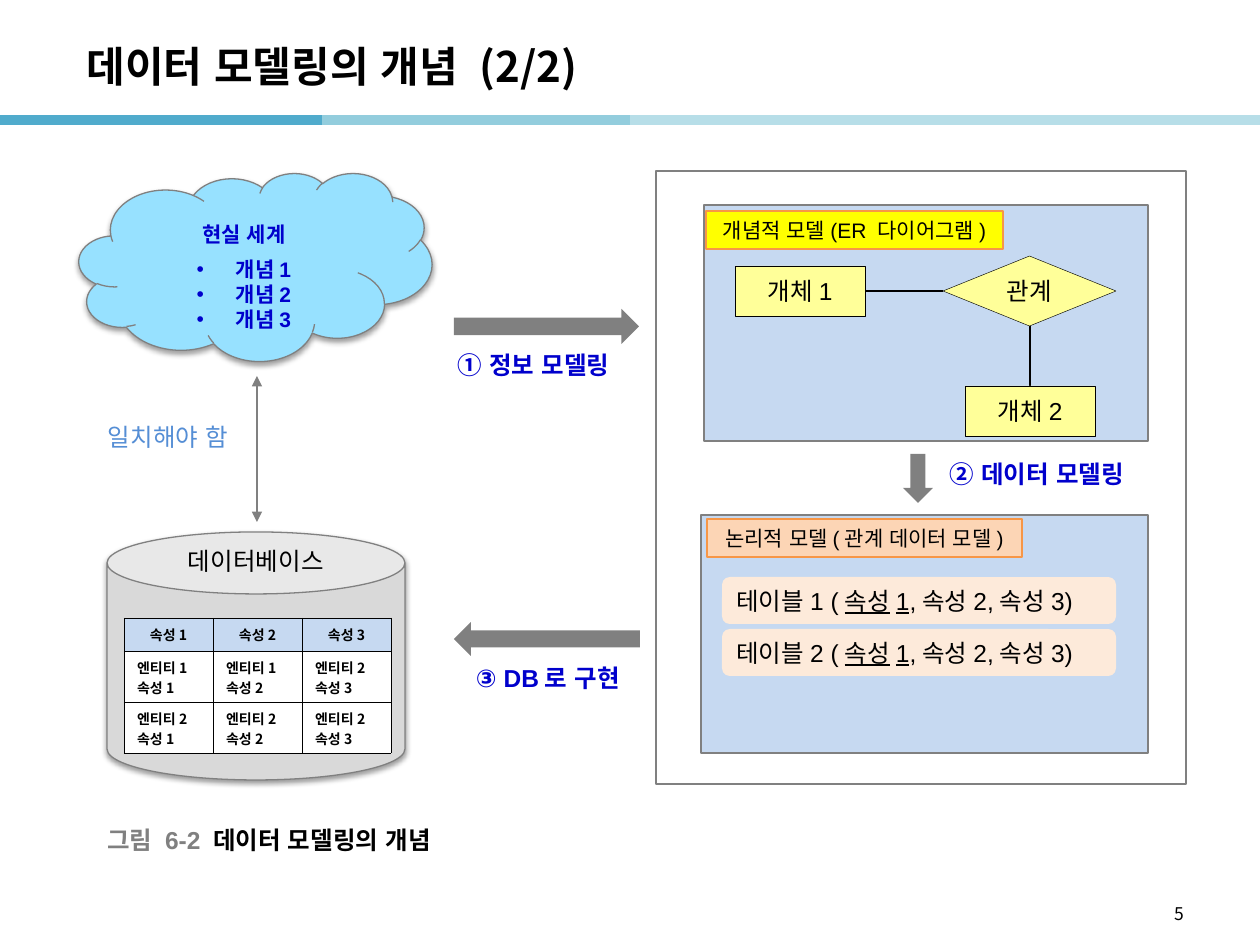
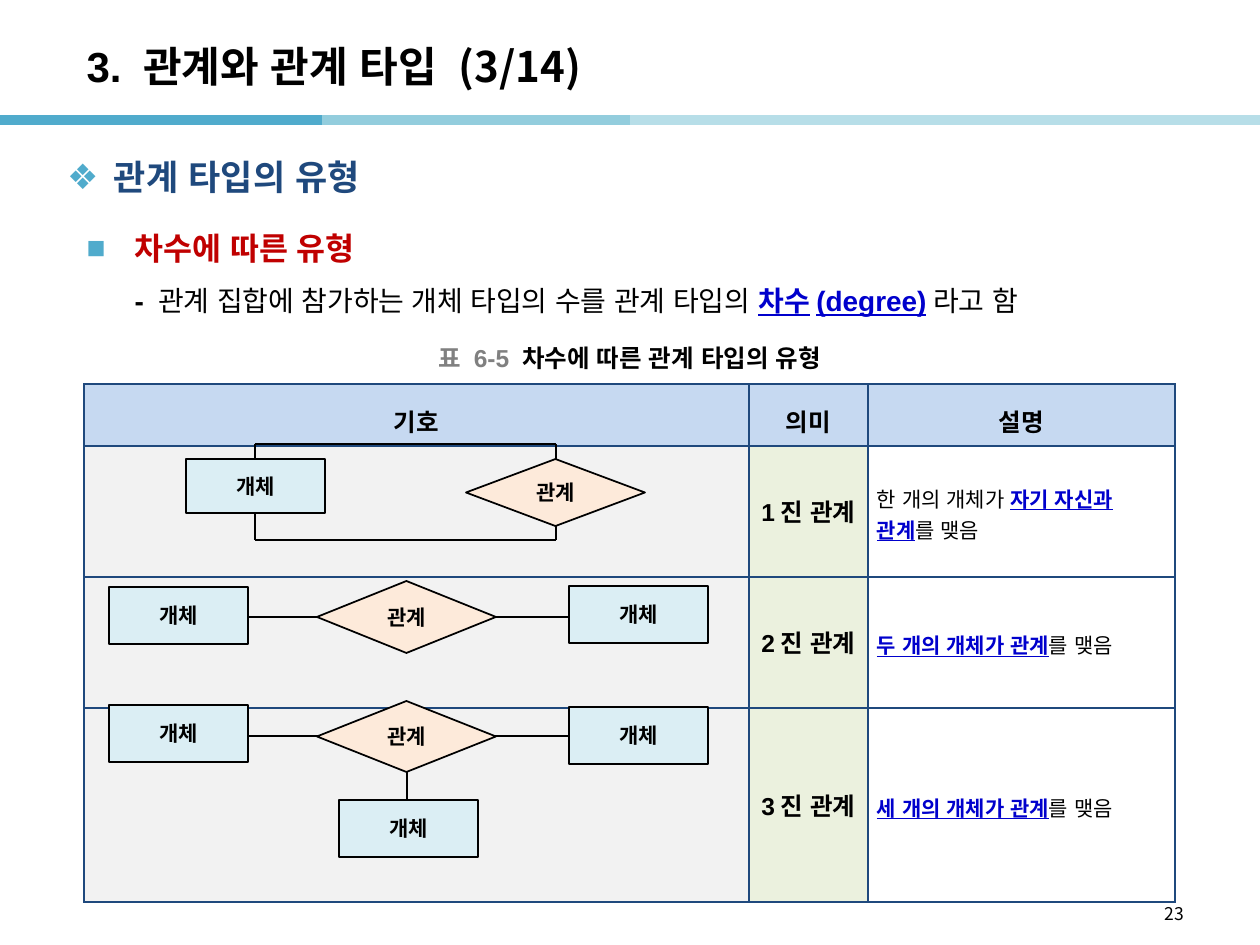
import pptx
import pptx.util
import pptx.dml.color
import pptx.enum.shapes
import pptx.enum.text
import pptx.oxml.ns
from lxml import etree

RGB = pptx.dml.color.RGBColor
KIND = pptx.enum.shapes.MSO_SHAPE
ALIGN = pptx.enum.text.PP_ALIGN
ANCHOR = pptx.enum.text.MSO_ANCHOR
Pt = pptx.util.Pt
qn = pptx.oxml.ns.qn
LATIN, KOREAN = "Arial", "Noto Sans CJK KR"

# Colours
BLACK, WHITE = RGB(0, 0, 0), RGB(255, 255, 255)
GRAY, SILVER = RGB(0x80, 0x80, 0x80), RGB(0xD9, 0xD9, 0xD9)
TEAL, AQUA, PALE = RGB(0x50, 0xAB, 0xCC), RGB(0x93, 0xCD, 0xDD), RGB(0xB7, 0xDE, 0xE8)
BLUE, NAVY, SKY = RGB(0, 0, 0xCC), RGB(0x1F, 0x49, 0x7D), RGB(0x55, 0x8E, 0xD5)
PANEL, CLOUD, ICE = RGB(0xC6, 0xD9, 0xF1), RGB(0x97, 0xE1, 0xFF), RGB(0xDB, 0xEE, 0xF4)
LEMON, YELLOW = RGB(0xFF, 0xFF, 0x99), RGB(0xFF, 0xFF, 0)
ORANGE, PEACH, CREAM = RGB(0xF7, 0x96, 0x46), RGB(0xFC, 0xD5, 0xB5), RGB(0xFD, 0xEA, 0xDA)
RED, MIST, LIME = RGB(0xC0, 0, 0), RGB(0xF2, 0xF2, 0xF2), RGB(0xEB, 0xF1, 0xDE)


def run(text, size=14, color=BLACK, bold=False, under=False, font=LATIN):
    return text, size, color, bold, under, font


def key(text, size=12):
    return run(text, size, BLUE, True, True)


# Shared content: (from x, to x, colour)
BANDS = [(0, 322, TEAL), (322, 630, AQUA), (630, 1260, PALE)]

# Slide 1 content; boxes are (left, top, width, height)
TITLE1 = [run("데이터 모델링의 개념 (2/2)", 24, bold=True, font=KOREAN)]
FRAMES = [
    ((656, 171, 530, 613), WHITE),
    ((704, 205, 444, 236), PANEL),
    ((701, 515, 447, 238), PANEL),
]
ARROWS = [
    (KIND.RIGHT_ARROW, (454, 309, 185, 35)),
    (KIND.LEFT_ARROW, (454, 622, 186, 34)),
    (KIND.DOWN_ARROW, (903, 454, 30, 49)),
]
TAGS = [
    ((706, 211, 297, 38), YELLOW, "개념적 모델(ER 다이어그램)"),
    ((707, 519, 315, 38), PEACH, "논리적 모델(관계 데이터 모델)"),
]
ER_LINKS = [(865, 291, 943, 291), (1030, 326, 1030, 386)]
ER_PARTS = [
    (KIND.RECTANGLE, (735, 266, 130, 50), "개체1"),
    (KIND.FLOWCHART_DECISION, (943, 256, 173, 70), "관계"),
    (KIND.RECTANGLE, (965, 386, 130, 50), "개체2"),
]
SCHEMA = ["테이블1 (", "테이블2 ("]
LABELS = [
    (458, 347, [run("① 정보 모델링", color=BLUE, bold=True)]),
    (950, 456, [run("② 데이터 모델링", color=BLUE, bold=True)]),
    (476, 660, [run("③ DB로 구현", color=BLUE, bold=True)]),
    (108, 419, [run("일치해야 함", color=SKY)]),
    (107, 822, [run("그림 6-2 ", color=GRAY, bold=True),
                run("데이터 모델링의 개념", bold=True)]),
]
IDEAS = ["현실 세계", "개념1", "개념2", "개념3"]
STORE = [
    [["속성1"], ["속성2"], ["속성3"]],
    [["엔티티1", "속성1"], ["엔티티1", "속성2"], ["엔티티2", "속성3"]],
    [["엔티티2", "속성1"], ["엔티티2", "속성2"], ["엔티티2", "속성3"]],
]

# Slide 2 content
TITLE2 = [run("3. 관계와 관계 타입", 24, bold=True),
          run(" (3/14)", 24, bold=True, font=KOREAN)]
HEADING = [run("관계 타입의 유형", 20, NAVY, True)]
BODY = [
    ("■", [run("차수에 따른 유형", 18, RED, True)]),
    (None, [run("- ", 16, bold=True),
            run("관계 집합에 참가하는 개체 타입의 수를 관계 타입의 ", 16),
            key("차수(degree)", 16), run("라고 함", 16)]),
]
CAPTION = [run("표 6-5 ", color=GRAY, bold=True),
           run("차수에 따른 관계 타입의 유형", bold=True)]
HEADS = ["기호", "의미", "설명"]
DEGREES = [
    ("1진 관계", [[run("한 개의 개체가 ", 12), key("자기 자신과")],
               [key("관계"), run("를 맺음", 12)]]),
    ("2진 관계", [[key("두 개의 개체가 관계"), run("를 맺음", 12)]]),
    ("3진 관계", [[key("세 개의 개체가 관계"), run("를 맺음", 12)]]),
]
LINKS = [
    (255, 444, 556, 444), (255, 540, 556, 540),
    (255, 444, 255, 540), (556, 444, 556, 540),
    (248, 617, 569, 617), (248, 736, 569, 736), (407, 736, 407, 800),
]
ENTITIES = [(186, 459, 54), (109, 587, 57), (569, 586, 57),
            (109, 705, 57), (569, 707, 57), (339, 800, 57)]
RELATIONS = [(466, 459, 67), (317, 581, 72), (317, 701, 71)]


# Helpers
def px(count):
    return pptx.util.Emu(round(count * 914400 / 126))


def spot(box):
    return [px(side) for side in box]


def node(parent, tag, **attrs):
    item = etree.SubElement(parent, qn(tag))
    for name, value in attrs.items():
        item.set(name, str(value))
    return item


def write(par, runs, align=None):
    par.alignment = align
    for text, size, color, bold, under, font in runs:
        part = par.add_run()
        part.text = text
        part.font.size, part.font.bold = Pt(size), bold
        part.font.underline = under
        part.font.color.rgb = color
        part.font.name = font
        node(part.font._element, "a:ea", typeface=LATIN)


def bullet(par, mark, gap, color=None):
    props = par._p.get_or_add_pPr()
    props.set("marL", str(px(gap)))
    props.set("indent", str(-px(gap) if mark else 0))
    if not mark:
        node(props, "a:buNone")
        return
    if color:
        node(node(props, "a:buClr"), "a:srgbClr", val=color)
    node(props, "a:buFont", typeface=LATIN)
    node(props, "a:buChar", char=mark)


def pad(frame, left=0, top=0, right=0, bottom=0):
    frame.margin_left, frame.margin_top = px(left), px(top)
    frame.margin_right, frame.margin_bottom = px(right), px(bottom)


def fit(frame, anchor=ANCHOR.MIDDLE):
    frame.word_wrap = True
    frame.auto_size = pptx.enum.text.MSO_AUTO_SIZE.NONE
    frame.vertical_anchor = anchor


def shape(slide, kind, box, fill, line=None, width=0.75, runs=(), shade=False):
    item = slide.shapes.add_shape(kind, *spot(box))
    item.shadow.inherit = False
    item.fill.solid()
    item.fill.fore_color.rgb = fill
    if line is None:
        item.line.fill.background()
    else:
        item.line.color.rgb = line
        item.line.width = Pt(width)
    if shade:
        effects = item._element.spPr.find(qn("a:effectLst"))
        glow = node(effects, "a:outerShdw", blurRad=Pt(3.1), dist=Pt(1.6),
                    dir=5400000, rotWithShape=0)
        node(node(glow, "a:srgbClr", val=BLACK), "a:alpha", val=38000)
    fit(item.text_frame)
    pad(item.text_frame)
    if runs:
        write(item.text_frame.paragraphs[0], runs, ALIGN.CENTER)
    return item


def label(slide, box, runs, align=ALIGN.LEFT):
    frame = slide.shapes.add_textbox(*spot(box)).text_frame
    fit(frame)
    pad(frame)
    write(frame.paragraphs[0], runs, align)
    return frame.paragraphs[0]


def wire(slide, ends, color=BLACK, width=0.75, heads=False):
    item = slide.shapes.add_connector(
        pptx.enum.shapes.MSO_CONNECTOR.STRAIGHT, *spot(ends))
    item.line.color.rgb = color
    item.line.width = Pt(width)
    node(item._element.spPr, "a:effectLst")
    if heads:
        for tag in ("a:headEnd", "a:tailEnd"):
            node(item.line._ln, tag, type="triangle")


def grid(slide, left, top, cols, rows):
    box = (left, top, sum(cols), sum(rows))
    table = slide.shapes.add_table(len(rows), len(cols), *spot(box)).table
    table.first_row = table.horz_banding = False
    for col, width in zip(table.columns, cols):
        col.width = px(width)
    for row, height in zip(table.rows, rows):
        row.height = px(height)
    return table


def paint(cell, fill, line, width):
    props = cell._tc.get_or_add_tcPr()
    for side in "LRTB":
        edge = node(props, "a:ln" + side, w=Pt(width))
        node(node(edge, "a:solidFill"), "a:srgbClr", val=line)
    cell.fill.solid()
    cell.fill.fore_color.rgb = fill


def fill_cell(cell, lines, align, space=None):
    for num, runs in enumerate(lines):
        frame = cell.text_frame
        par = frame.add_paragraph() if num else frame.paragraphs[0]
        par.line_spacing = space
        write(par, runs, align)


def start(deck, layout, title, page):
    slide = deck.slides.add_slide(deck.slide_layouts[layout])
    for left, right, color in BANDS:
        wire(slide, (left, 120, right, 120), color, 6)
    head = slide.shapes.title
    head.left, head.top, head.width, head.height = spot((74, 28, 1042, 76))
    fit(head.text_frame)
    write(head.text_frame.paragraphs[0], title, ALIGN.LEFT)
    label(slide, (903, 897, 281, 34), [run(page, 10, font=KOREAN)], ALIGN.RIGHT)
    return slide


# Slide 1: from real world to database
def concept(deck):
    slide = start(deck, 5, TITLE1, "5")
    for box, fill in FRAMES:
        shape(slide, KIND.RECTANGLE, box, fill, GRAY)
    for kind, box in ARROWS:
        shape(slide, kind, box, GRAY)
    for ends in ER_LINKS:
        wire(slide, ends)
    for kind, box, text in ER_PARTS:
        shape(slide, kind, box, LEMON, BLACK, 0.25, [run(text)])
    for box, fill, text in TAGS:
        shape(slide, KIND.RECTANGLE, box, fill, ORANGE, runs=[run(text, 12)])
    for num, name in enumerate(SCHEMA):
        box = (722, 577 + 52 * num, 394, 47)
        item = shape(slide, KIND.ROUNDED_RECTANGLE, box, CREAM)
        pad(item.text_frame, left=12)
        write(item.text_frame.paragraphs[0],
              [run(name), run("속성1", under=True), run(",속성2,속성3)")], ALIGN.LEFT)
    for left, top, runs in LABELS:
        label(slide, (left, top, 360 if left < 110 else 200, 36), runs)

    # Cloud
    cloud = shape(slide, KIND.CLOUD, (79, 173, 353, 188), CLOUD, GRAY, shade=True)
    frame = cloud.text_frame
    pad(frame, left=2, top=28)
    for num, text in enumerate(IDEAS):
        par = frame.add_paragraph() if num else frame.paragraphs[0]
        par.line_spacing = Pt(14.3)
        if num:
            par.space_before = Pt(6 if num == 1 else 0)
            bullet(par, "•", 39)
        write(par, [run(text, 12, BLUE, True)], ALIGN.CENTER)
    wire(slide, (257, 376, 257, 522), GRAY, 1.5, heads=True)

    # Database
    shape(slide, KIND.CAN, (107, 532, 298, 248), SILVER, GRAY, shade=True)
    label(slide, (156, 543, 200, 36), [run("데이터베이스")], ALIGN.CENTER)
    table = grid(slide, 124, 618, [89] * 3, [33, 51, 51])
    for row, line in enumerate(STORE):
        for col, texts in enumerate(line):
            cell = table.cell(row, col)
            paint(cell, WHITE if row else PANEL, BLACK, 0.25)
            pad(cell, 13, 6, 13, 3)
            fill_cell(cell, [[run(text, 8, bold=True, font=KOREAN)] for text in texts],
                      ALIGN.LEFT if row else ALIGN.CENTER)


# Slide 2: relationship types by degree
def degree(deck):
    slide = start(deck, 1, TITLE2, "23")
    body = slide.placeholders[1]
    body.left, body.top, body.width, body.height = spot((74, 204, 1111, 130))
    fit(body.text_frame, ANCHOR.TOP)
    for num, (mark, runs) in enumerate(BODY):
        par = body.text_frame.add_paragraph() if num else body.text_frame.paragraphs[0]
        par.line_spacing, par.space_before = 1.5, Pt(0)
        bullet(par, mark, 48, TEAL)
        write(par, runs, ALIGN.LEFT)
    par = label(slide, (67, 152, 1090, 50), HEADING)
    bullet(par, "❖", 47, TEAL)
    label(slide, (380, 340, 500, 36), CAPTION, ALIGN.CENTER)

    # Table
    table = grid(slide, 84, 384, [665, 119, 307], [62, 131, 131, 194])
    rows = [[[[run(text, bold=True)]] for text in HEADS]]
    rows += [[[], [[run(name, bold=True)]], lines] for name, lines in DEGREES]
    for row, line in enumerate(rows):
        for col, lines in enumerate(line):
            cell = table.cell(row, col)
            paint(cell, (MIST, LIME, WHITE)[col] if row else PANEL, NAVY, 1)
            pad(cell, 9, 2, 9, 2)
            cell.vertical_anchor = ANCHOR.MIDDLE
            fill_cell(cell, lines, ALIGN.LEFT if row and col == 2 else ALIGN.CENTER,
                      Pt(18) if row else 1.6)

    # Symbols
    for ends in LINKS:
        wire(slide, ends)
    for left, top, height in ENTITIES:
        shape(slide, KIND.RECTANGLE, (left, top, 139, height), ICE, BLACK, 1,
              [run("개체", 12, bold=True)])
    for left, top, height in RELATIONS:
        shape(slide, KIND.FLOWCHART_DECISION, (left, top, 179, height), CREAM,
              BLACK, 1, [run("관계", 12, bold=True)])


def main():
    deck = pptx.Presentation()
    deck.slide_width, deck.slide_height = px(1260), px(945)
    concept(deck)
    degree(deck)
    deck.save("out.pptx")


if __name__ == "__main__":
    main()
